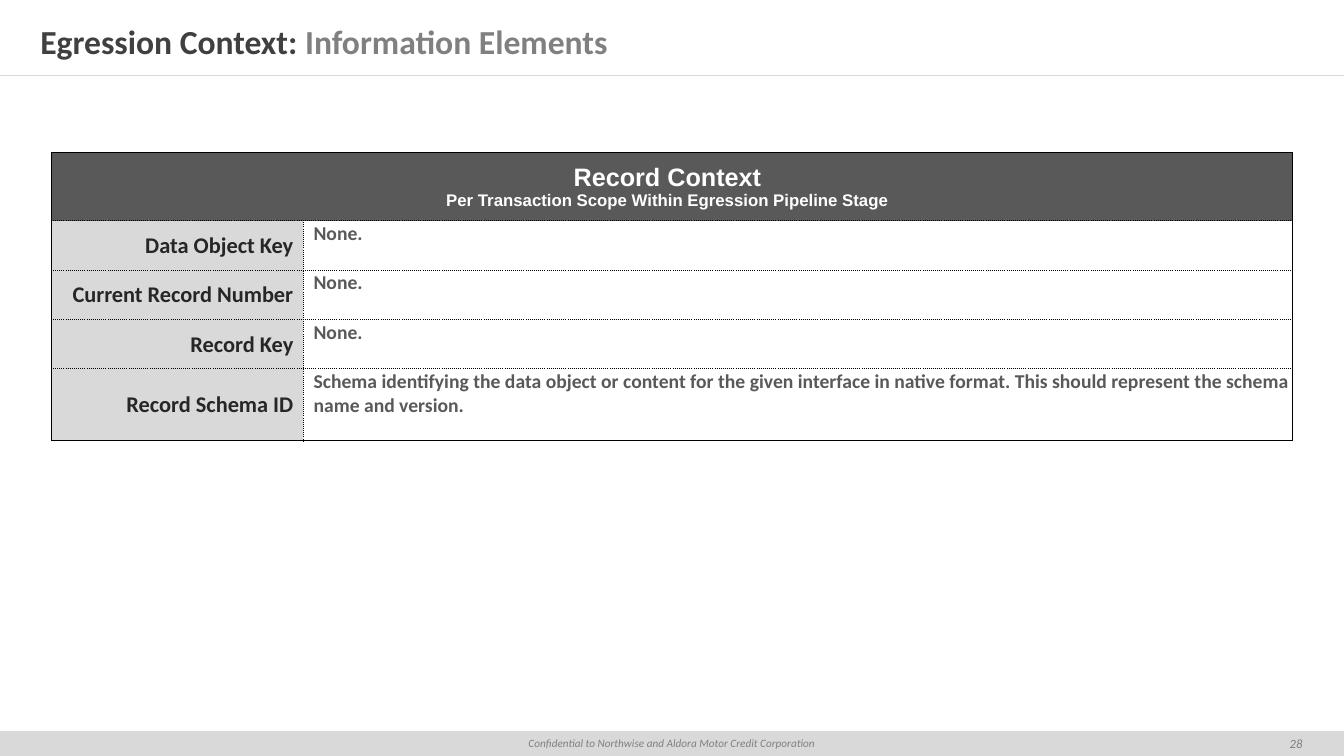
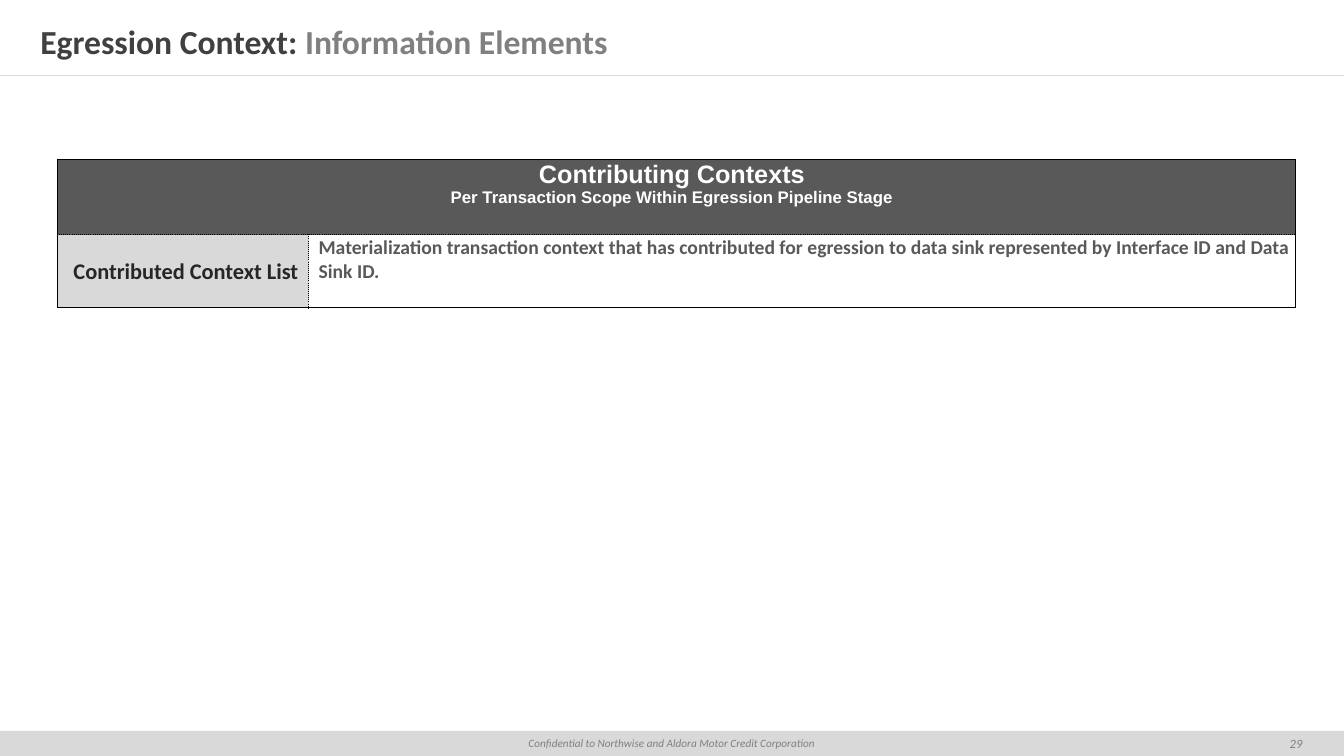
from lxml import etree
from pptx import Presentation
from pptx.dml.color import RGBColor
from pptx.enum.shapes import MSO_CONNECTOR as CONN, MSO_SHAPE as SHAPE
from pptx.enum.text import MSO_ANCHOR as ANCHOR, PP_ALIGN as ALIGN
from pptx.oxml.ns import qn
from pptx.util import Inches, Pt

BLACK = RGBColor(0x00, 0x00, 0x00)
INK = RGBColor(0x26, 0x26, 0x26)
TITLE = RGBColor(0x40, 0x40, 0x40)
SLATE = RGBColor(0x59, 0x59, 0x59)
GREY = RGBColor(0x80, 0x80, 0x80)
SILVER = RGBColor(0xD9, 0xD9, 0xD9)
WHITE = RGBColor(0xFF, 0xFF, 0xFF)

WIDTH, HEIGHT = 13.33, 7.5
BAND_TOP, BAND_HEIGHT = 7.25, 0.25
SCOPE = "Per Transaction Scope Within Egression Pipeline Stage"
FOOTER = "Confidential to Northwise and Aldora Motor Credit Corporation"


def style(p, size, color, name="Calibri", bold=False, italic=False, align=ALIGN.LEFT):
    """Set the font and alignment of a paragraph."""
    p.alignment = align
    f = p.font
    f.size, f.name, f.bold, f.italic = Pt(size), name, bold, italic
    f.color.rgb = color


def set_frame(tf, margin_x=0.0):
    """Make a frame wrap, centre vertically and use the given side margins."""
    tf.word_wrap = True
    tf.vertical_anchor = ANCHOR.MIDDLE
    tf.margin_left = tf.margin_right = Inches(margin_x)
    tf.margin_top = tf.margin_bottom = 0


def add_title(s, lead, topic):
    """Add the two-tone title and the rule below it."""
    tf = s.shapes.add_textbox(0, Inches(0.16), Inches(WIDTH), Inches(0.5)).text_frame
    set_frame(tf, 0.4)
    p = tf.paragraphs[0]
    style(p, 24, TITLE, bold=True)
    p.add_run().text = lead
    r = p.add_run()
    r.text = topic
    r.font.color.rgb = GREY
    y = Inches(0.75)
    rule = s.shapes.add_connector(CONN.STRAIGHT, 0, y, Inches(WIDTH), y)
    rule.line.color.rgb = SILVER
    rule.line.width = Pt(0.25)
    etree.SubElement(rule._element.spPr, qn("a:effectLst"))


def add_footer(s, number):
    """Add the bottom band with its notice and the slide number."""
    top, height = Inches(BAND_TOP), Inches(BAND_HEIGHT)
    band = s.shapes.add_shape(SHAPE.RECTANGLE, 0, top, Inches(WIDTH), height)
    band.shadow.inherit = False
    band.fill.solid()
    band.fill.fore_color.rgb = SILVER
    band.line.fill.background()
    page = s.shapes.add_textbox(Inches(12.5), top, Inches(0.71), height)
    for sp, text, size in ((band, FOOTER, 8), (page, str(number), 9)):
        set_frame(sp.text_frame)
        p = sp.text_frame.paragraphs[0]
        p.text = text
        style(p, size, GREY, italic=True, align=ALIGN.CENTER)


def set_borders(cell, solid_sides):
    """Draw four cell borders, solid on the given sides and dotted elsewhere."""
    tc_pr = cell._tc.get_or_add_tcPr()
    for side in "LRTB":
        ln = etree.SubElement(tc_pr, qn(f"a:ln{side}"), w=str(Pt(1)))
        fill = etree.SubElement(ln, qn("a:solidFill"))
        etree.SubElement(fill, qn("a:srgbClr"), val=str(BLACK))
        dash = "solid" if side in solid_sides else "sysDot"
        etree.SubElement(ln, qn("a:prstDash"), val=dash)


def fill_cell(cell, text, color, left=0.01, right=0.1, anchor=ANCHOR.MIDDLE):
    """Fill a cell, set its margins and write its text."""
    cell.fill.solid()
    cell.fill.fore_color.rgb = color
    cell.margin_left, cell.margin_right = Inches(left), Inches(right)
    cell.margin_top, cell.margin_bottom = Inches(0.01), 0
    cell.vertical_anchor = anchor
    cell.text = text
    return cell.text_frame.paragraphs


def add_context_table(s, left, top, widths, heights, heading, entries, anchor):
    """Add a table with a merged heading row and a row for each element."""
    shape = s.shapes.add_table(len(heights), 2, Inches(left), Inches(top),
                               Inches(sum(widths)), Inches(sum(heights)))
    table = shape.table
    table.first_row = table.horz_banding = False
    for col, width in zip(table.columns, widths):
        col.width = Inches(width)
    last = len(heights) - 1
    for i, (row, height) in enumerate(zip(table.rows, heights)):
        row.height = Inches(height)
        edges = ("T" if i == 0 else "") + ("B" if i == last else "")
        for cell, side in zip(row.cells, "LR"):
            set_borders(cell, edges + ("LR" if i == 0 else side))
    header = table.cell(0, 0)
    header.merge(table.cell(0, 1))
    paragraphs = fill_cell(header, f"{heading}\n{SCOPE}", SLATE, anchor=anchor)
    for p, size in zip(paragraphs, (18, 12)):
        style(p, size, WHITE, "Arial", bold=True, align=ALIGN.CENTER)
    for i, (label, value) in enumerate(entries, 1):
        p = fill_cell(table.cell(i, 0), label, SILVER)[0]
        style(p, 16, INK, bold=True, align=ALIGN.RIGHT)
        p = fill_cell(table.cell(i, 1), value, WHITE, 0.1, 0.01, ANCHOR.TOP)[0]
        style(p, 14, SLATE, bold=True)


def add_context_slide(prs, number, **table):
    """Add a slide with the shared title and footer and one context table."""
    s = prs.slides.add_slide(prs.slide_layouts[6])
    add_footer(s, number)
    add_title(s, "Egression Context: ", "Information Elements")
    add_context_table(s, **table)


def main():
    """Build and save the presentation."""
    prs = Presentation()
    prs.slide_width, prs.slide_height = Inches(WIDTH), Inches(HEIGHT)
    add_context_slide(
        prs, 28, left=0.51, top=1.51, widths=(2.5, 9.81),
        heights=(0.68, 0.49, 0.49, 0.49, 0.71),
        heading="Record Context", anchor=ANCHOR.MIDDLE,
        entries=(
            ("Data Object Key", "None."),
            ("Current Record Number", "None."),
            ("Record Key", "None."),
            ("Record Schema ID",
             "Schema identifying the data object or content for the given interface in "
             "native format. This should represent the schema name and version."),
        ))
    add_context_slide(
        prs, 29, left=0.57, top=1.58, widths=(2.49, 9.79), heights=(0.75, 0.72),
        heading="Contributing Contexts", anchor=ANCHOR.TOP,
        entries=(
            ("Contributed Context List",
             "Materialization transaction context that has contributed for egression to "
             "data sink represented by Interface ID and Data Sink ID."),
        ))
    prs.save("out.pptx")


if __name__ == "__main__":
    main()
